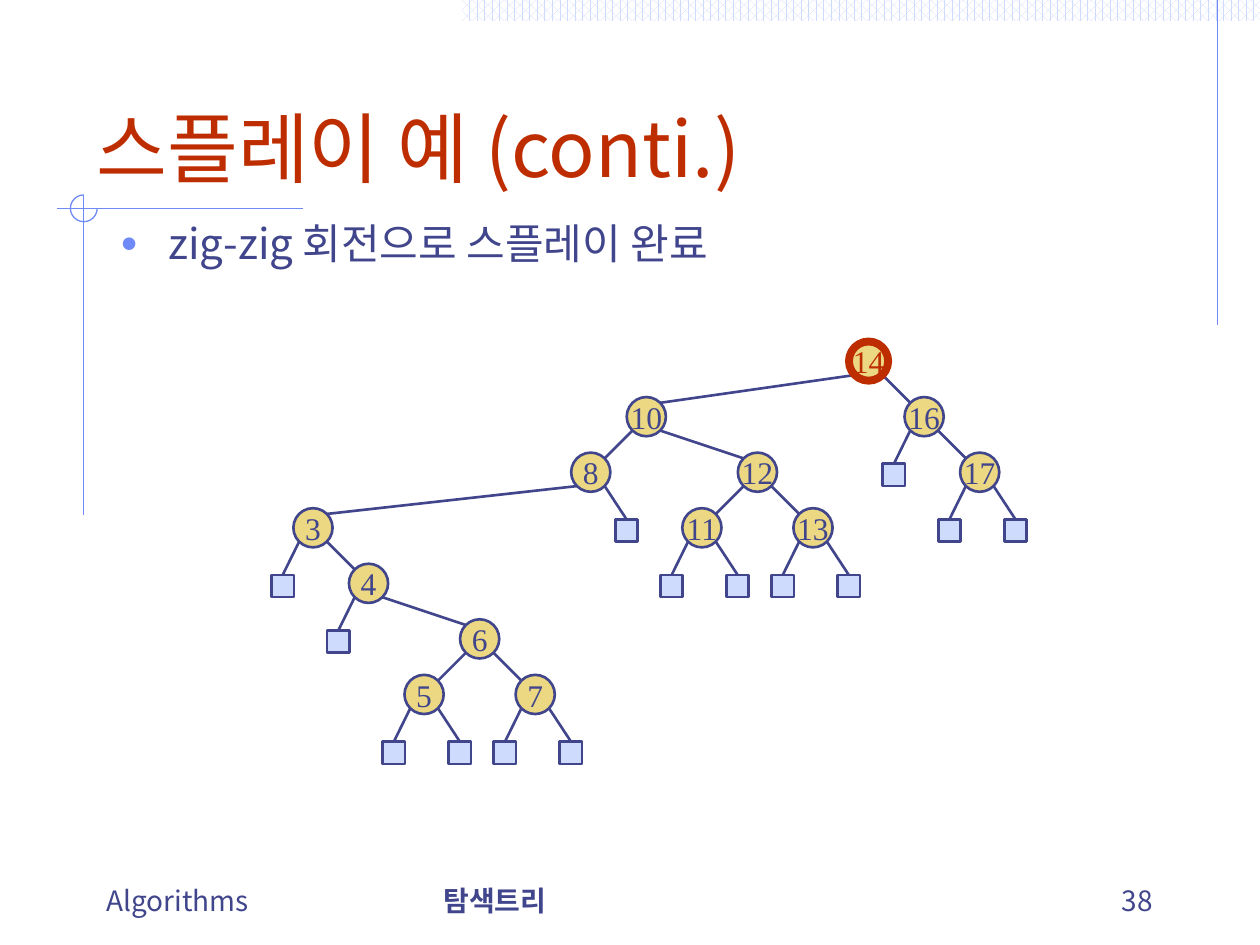
import lxml.etree
import pptx
import pptx.dml.color
import pptx.enum.dml
import pptx.enum.shapes
import pptx.enum.text
import pptx.oxml.ns
import pptx.util
from pptx.util import Cm

COLORS = {
    "navy": "40458C",
    "red": "BE2D00",
    "blue": "6F89F7",
    "pale": "CFDBFD",
    "gold": "ECD882",
    "white": "FFFFFF",
}
RGB = {name: pptx.dml.color.RGBColor.from_string(value) for name, value in COLORS.items()}
SANS = "Noto Sans CJK KR"
SERIF = "Times New Roman"
SHAPE = pptx.enum.shapes.MSO_SHAPE
ANCHOR = pptx.enum.text.MSO_ANCHOR
ALIGN = pptx.enum.text.PP_ALIGN
qn = pptx.oxml.ns.qn

deck = pptx.Presentation()
deck.slide_width, deck.slide_height = Cm(25.4), Cm(19.05)
slide = deck.slides.add_slide(deck.slide_layouts[1])
shapes = slide.shapes


def style(paragraph, size, color, font=SANS, bold=False):
    """Set the font of a paragraph, for Latin and East Asian text alike."""
    paragraph.font.size = pptx.util.Pt(size)
    paragraph.font.bold = bold
    paragraph.font.color.rgb = RGB[color]
    paragraph.font.name = font
    defaults = paragraph._p.pPr.find(qn("a:defRPr"))
    lxml.etree.SubElement(defaults, qn("a:ea"), typeface=font)


def draw_line(x1, y1, x2, y2, color, width):
    """Draw a straight line without shadow; ends are in centimetres."""
    line = shapes.add_connector(
        pptx.enum.shapes.MSO_CONNECTOR.STRAIGHT, Cm(x1), Cm(y1), Cm(x2), Cm(y2))
    line.line.color.rgb = RGB[color]
    line.line.width = pptx.util.Pt(width)
    lxml.etree.SubElement(line._element.spPr, qn("a:effectLst"))


# Decoration
top_band = shapes.add_shape(SHAPE.RECTANGLE, Cm(9.31), Cm(0), Cm(16.09), Cm(0.42))
top_band.shadow.inherit = False
top_band.line.fill.background()
top_band.fill.patterned()
top_band.fill.pattern = pptx.enum.dml.MSO_PATTERN.PERCENT_60
top_band.fill.fore_color.rgb = RGB["pale"]
top_band.fill.back_color.rgb = RGB["white"]

for ends in [(24.55, 0, 24.55, 6.56), (6.1, 4.2, 1.15, 4.2), (1.69, 3.93, 1.69, 10.39)]:
    draw_line(*ends, "blue", 0.75)

corner_arc = shapes.add_shape(SHAPE.ARC, Cm(1.42), Cm(3.93), Cm(0.54), Cm(0.54))
corner_arc.adjustments[0] = 0
corner_arc.adjustments[1] = 162  # 270 degrees
corner_arc.shadow.inherit = False
corner_arc.fill.background()
corner_arc.line.color.rgb = RGB["blue"]
corner_arc.line.width = pptx.util.Pt(0.75)

# Title and list
title = shapes.title
title.left, title.top, title.width, title.height = Cm(1.69), Cm(0.85), Cm(21.91), Cm(3.17)
title.text_frame.text = "스플레이 예 (conti.)"
title.text_frame.auto_size = pptx.enum.text.MSO_AUTO_SIZE.NONE
title.text_frame.vertical_anchor = ANCHOR.BOTTOM
heading = title.text_frame.paragraphs[0]
heading.alignment = ALIGN.LEFT
style(heading, 44, "red")

body = slide.placeholders[1]
body.left, body.top, body.width, body.height = Cm(2.19), Cm(4.37), Cm(21.23), Cm(1.6)
body.text_frame.text = "zig-zig 회전으로 스플레이 완료"
body.text_frame.auto_size = pptx.enum.text.MSO_AUTO_SIZE.NONE
step = body.text_frame.paragraphs[0]
step.line_spacing = 0.9
step.space_before = pptx.util.Pt(0)
properties = step._p.get_or_add_pPr()
properties.set("marL", str(Cm(0.95)))
properties.set("indent", str(Cm(-0.95)))
bullet_color = lxml.etree.SubElement(properties, qn("a:buClr"))
lxml.etree.SubElement(bullet_color, qn("a:srgbClr"), val=COLORS["blue"])
lxml.etree.SubElement(properties, qn("a:buSzPct"), val="110000")
lxml.etree.SubElement(properties, qn("a:buChar"), char="•")
style(step, 24, "navy")

# Footer
for text, left, width, alignment, bold in [
    ("Algorithms", 1.9, 6.02, ALIGN.LEFT, False),
    ("탐색트리", 8.69, 8.05, ALIGN.LEFT, True),
    ("38", 18.21, 5.28, ALIGN.RIGHT, False),
]:
    footer = shapes.add_textbox(Cm(left), Cm(17.35), Cm(width), Cm(1.27)).text_frame
    footer.word_wrap = True
    footer.vertical_anchor = ANCHOR.BOTTOM
    footer.text = text
    footer.paragraphs[0].alignment = alignment
    style(footer.paragraphs[0], 16, "navy", bold=bold)

# Splay tree: key -> (depth, left child, right child); None is an external node.
# Keys stand in sorted order, one column each.
ROOT = 14
tree = {
    3: (3, None, 4),
    4: (4, None, 6),
    5: (6, None, None),
    6: (5, 5, 7),
    7: (6, None, None),
    8: (2, 3, None),
    10: (1, 8, 12),
    11: (3, None, None),
    12: (2, 11, 13),
    13: (3, None, None),
    14: (0, 10, 16),
    16: (1, None, 17),
    17: (2, None, None),
}
GRID = 1.12
DIAMETER = 0.79
CORNER = 0.28  # offset of the diagonal points on a circle
LEAF = 0.45
LEAF_DROP = 0.95
LEAF_SHIFT = {-1: -0.61, 1: 0.72}
centers = {
    key: (6.31 + column * GRID, 7.28 + tree[key][0] * GRID)
    for column, key in enumerate(tree)
}

for key, (depth, left_child, right_child) in tree.items():
    x, y = centers[key]
    for side, child in [(-1, left_child), (1, right_child)]:
        if child is None:
            end_x, end_y = x + LEAF_SHIFT[side], y + LEAF_DROP
            leaf = shapes.add_shape(
                SHAPE.RECTANGLE, Cm(end_x - LEAF / 2), Cm(end_y), Cm(LEAF), Cm(LEAF))
            leaf.shadow.inherit = False
            leaf.fill.solid()
            leaf.fill.fore_color.rgb = RGB["pale"]
            leaf.line.color.rgb = RGB["navy"]
            leaf.line.width = pptx.util.Pt(1.5)
        else:
            child_x, child_y = centers[child]
            end_x, end_y = child_x - side * CORNER, child_y - CORNER
        draw_line(end_x, end_y, x + side * CORNER, y + CORNER, "navy", 1.5)

for key, (x, y) in centers.items():
    color, width = ("red", 4.5) if key == ROOT else ("navy", 1.5)
    node = shapes.add_shape(
        SHAPE.OVAL, Cm(x - DIAMETER / 2), Cm(y - DIAMETER / 2), Cm(DIAMETER), Cm(DIAMETER))
    node.shadow.inherit = False
    node.fill.solid()
    node.fill.fore_color.rgb = RGB["gold"]
    node.line.color.rgb = RGB[color]
    node.line.width = pptx.util.Pt(width)
    label = node.text_frame
    label.margin_left = label.margin_right = label.margin_top = label.margin_bottom = 0
    label.word_wrap = False
    label.vertical_anchor = ANCHOR.MIDDLE
    label.text = str(key)
    label.paragraphs[0].alignment = ALIGN.CENTER
    style(label.paragraphs[0], 18, color, SERIF)

deck.save("out.pptx")
